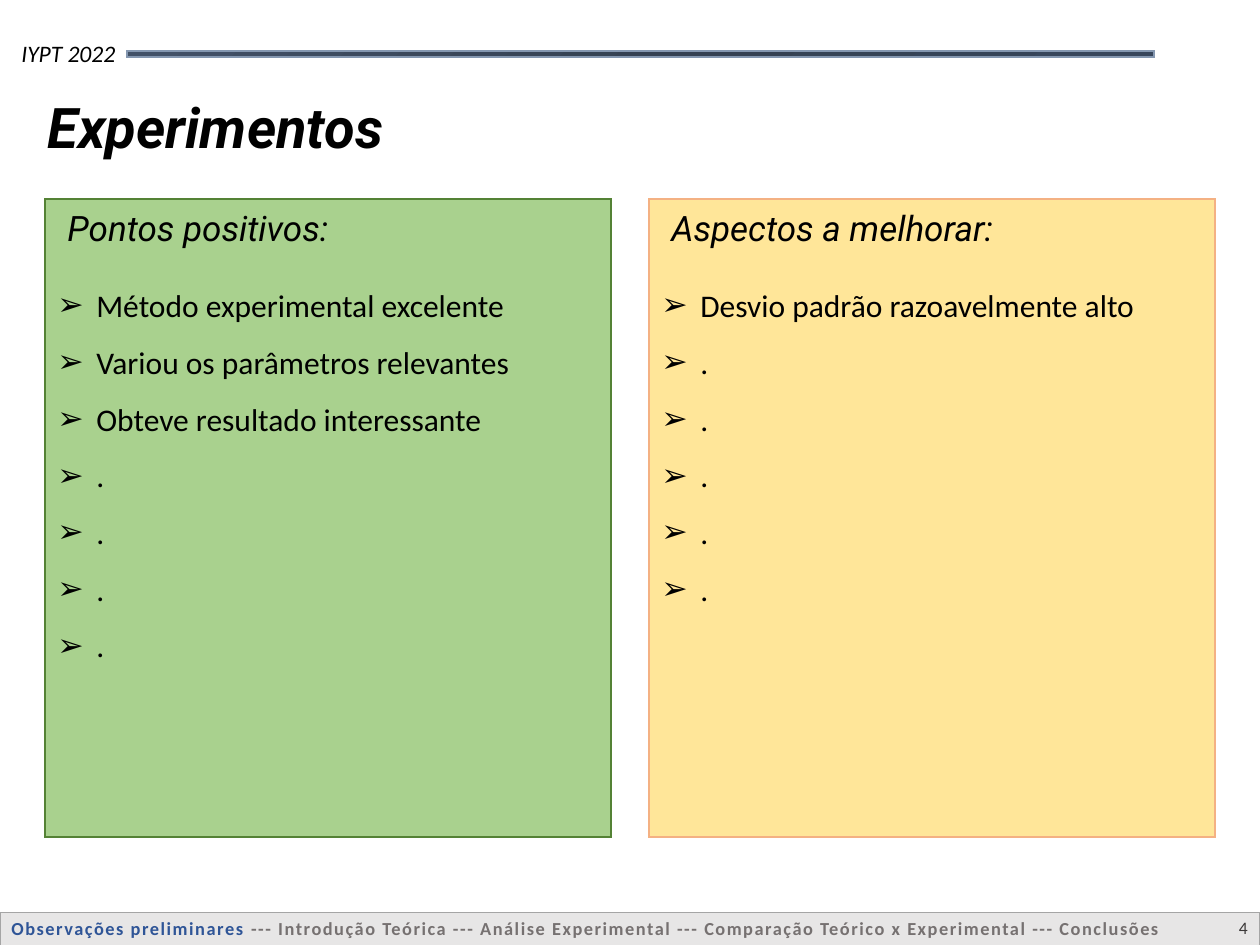
from lxml.etree import SubElement
from pptx import Presentation
from pptx.dml.color import RGBColor
from pptx.enum.shapes import MSO_SHAPE as Shape
from pptx.enum.text import MSO_ANCHOR as Anchor, MSO_AUTO_SIZE as AutoSize, PP_ALIGN as Align
from pptx.oxml import parse_xml
from pptx.oxml.ns import nsdecls, qn
from pptx.util import Pt

SCALE = 914400 / 126
BLACK = RGBColor(0x00, 0x00, 0x00)
CHARCOAL = RGBColor(0x3B, 0x38, 0x38)
GRAY = RGBColor(0x76, 0x71, 0x71)
MID_GRAY = RGBColor(0xA5, 0xA5, 0xA5)
LIGHT_GRAY = RGBColor(0xE7, 0xE6, 0xE6)
BLUE = RGBColor(0x2F, 0x55, 0x97)
STEEL = RGBColor(0x84, 0x97, 0xB0)
GREEN = RGBColor(0xA9, 0xD1, 0x8E)
DARK_GREEN = RGBColor(0x54, 0x82, 0x35)
YELLOW = RGBColor(0xFF, 0xE6, 0x99)
ORANGE = RGBColor(0xF4, 0xB1, 0x83)
BAR_STOPS = (
    (0, RGBColor(0x42, 0x51, 0x67)),
    (53, RGBColor(0x35, 0x41, 0x52)),
    (100, RGBColor(0x37, 0x46, 0x5B)),
)
PANEL_TOP, PANEL_WIDTH, PANEL_HEIGHT = 199, 566, 638
BULLET_INDENT = 39


def px(value):
    return round(value * SCALE)


def place(*lengths):
    return [px(length) for length in lengths]


def add_span(para, text, size=18, font="Calibri", color=BLACK, bold=False, italic=False, spacing=None):
    span = para.add_run()
    span.text = text
    span.font.size = Pt(size)
    span.font.name = font
    span.font.color.rgb = color
    span.font.bold = bold
    span.font.italic = italic
    if spacing is not None:
        span._r.get_or_add_rPr().set("spc", str(round(spacing * 100)))
    return span


def add_text(page, area, text="", align=Align.LEFT, anchor=Anchor.TOP, **style):
    box = page.shapes.add_textbox(*place(*area))
    frame = box.text_frame
    frame.word_wrap = True
    frame.vertical_anchor = anchor
    para = frame.paragraphs[0]
    para.alignment = align
    if text:
        add_span(para, text, **style)
    return box


def add_rectangle(page, area, fill, line, width):
    box = page.shapes.add_shape(Shape.RECTANGLE, *place(*area))
    box.shadow.inherit = False
    box.fill.solid()
    box.fill.fore_color.rgb = fill
    box.line.color.rgb = line
    box.line.width = Pt(width)
    SubElement(box.line._get_or_add_ln(), qn("a:miter"), lim="800000")
    return box


def set_radial_fill(box, stops):
    gradient = parse_xml(f'<a:gradFill {nsdecls("a")} rotWithShape="1"/>')
    stop_list = SubElement(gradient, qn("a:gsLst"))
    for position, color in stops:
        stop = SubElement(stop_list, qn("a:gs"), pos=str(position * 1000))
        SubElement(stop, qn("a:srgbClr"), val=str(color))
    radial = SubElement(gradient, qn("a:path"), path="circle")
    SubElement(radial, qn("a:fillToRect"), r="100000", b="100000")
    properties = box._element.spPr
    properties.replace(properties.find(qn("a:solidFill")), gradient)


def set_bullet(para):
    properties = para._p.get_or_add_pPr()
    properties.set("marL", str(px(BULLET_INDENT)))
    properties.set("indent", str(-px(BULLET_INDENT)))
    SubElement(properties, qn("a:buFont"), typeface="Arial")
    SubElement(properties, qn("a:buChar"), char="➢")


def add_bullets(page, area, items):
    frame = add_text(page, area).text_frame
    for index, item in enumerate(items):
        para = frame.add_paragraph() if index else frame.paragraphs[0]
        if index:
            para.line_spacing = 1.5
        set_bullet(para)
        add_span(para, item)


def add_panel(page, left, heading, items, height, fill, line):
    add_rectangle(page, (left, PANEL_TOP, PANEL_WIDTH, PANEL_HEIGHT), fill, line, 1.5)
    add_text(page, (left + 10, PANEL_TOP + 1, 547, 55), heading, size=20, font="Roboto", italic=True)
    add_bullets(page, (left, 280, PANEL_WIDTH, height), items)


def set_title(page, area, text):
    title = page.shapes.title
    title.left, title.top, title.width, title.height = place(*area)
    frame = title.text_frame
    frame.word_wrap = True
    frame.auto_size = AutoSize.NONE
    frame.vertical_anchor = Anchor.TOP
    para = frame.paragraphs[0]
    para.alignment = Align.LEFT
    add_span(para, text, size=32, font="Roboto", bold=True, italic=True)


def add_header(page):
    add_text(page, (9, 33, 159, 42), "IYPT 2022", size=13.5, italic=True)
    bar = add_rectangle(page, (127, 51, 1027, 6), STEEL, STEEL, 0.75)
    set_radial_fill(bar, BAR_STOPS)


def add_footer(page):
    add_rectangle(page, (0, 912, 1260, 33), LIGHT_GRAY, MID_GRAY, 0.5)
    style = {"size": 10.5, "bold": True, "spacing": 0.9}
    box = add_text(page, (-1, 911, 1181, 35), "Observações preliminares ", color=BLUE, **style)
    sections = ("Introdução Teórica", "Análise Experimental",
                "Comparação Teórico x Experimental", "Conclusões")
    remaining = "--- " + " --- ".join(sections)
    add_span(box.text_frame.paragraphs[0], remaining, color=GRAY, **style)
    add_text(page, (1194, 903, 66, 50), "4", align=Align.RIGHT, anchor=Anchor.MIDDLE,
             size=10, color=CHARCOAL)


def main():
    deck = Presentation()
    deck.slide_width, deck.slide_height = place(1260, 945)
    page = deck.slides.add_slide(deck.slide_layouts[5])
    add_header(page)
    add_footer(page)
    set_title(page, (35, 86, 399, 81), "Experimentos")
    strengths = ["Método experimental excelente", "Variou os parâmetros relevantes",
                 "Obteve resultado interessante"] + ["."] * 4
    improvements = ["Desvio padrão razoavelmente alto"] + ["."] * 5
    add_panel(page, 45, "Pontos positivos:", strengths, 446, GREEN, DARK_GREEN)
    add_panel(page, 649, "Aspectos a melhorar:", improvements, 388, YELLOW, ORANGE)
    deck.save("out.pptx")


if __name__ == "__main__":
    main()
